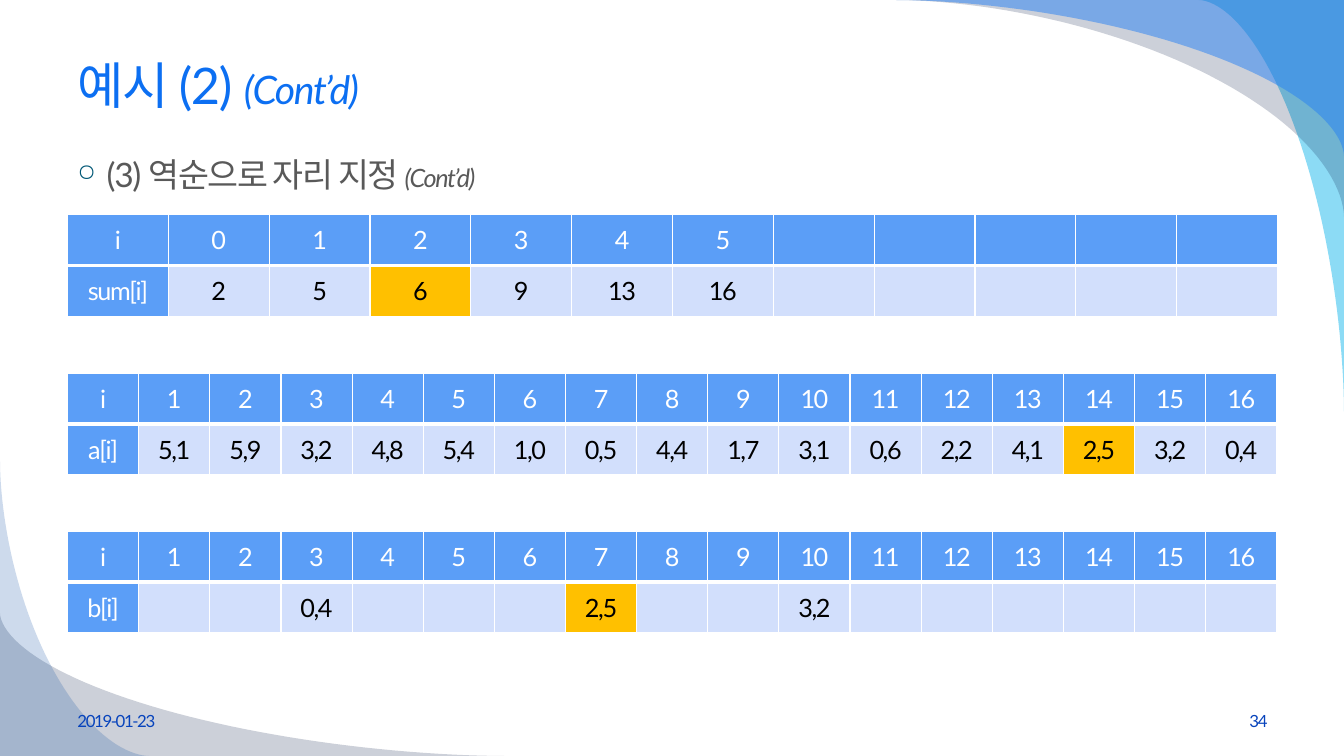
from dataclasses import dataclass
from math import cos, pi, sin

from lxml import etree
from pptx import Presentation
from pptx import util as u
from pptx.dml.color import RGBColor
from pptx.enum import text as t
from pptx.oxml.ns import qn


@dataclass(frozen=True)
class Theme:
    font: str = "Lato"
    title: str = "0C6FF2"
    body: str = "595959"
    bullet: str = "005876"
    footer: str = "0743BC"
    header: str = "5B9EF7"
    cell: str = "D2DFFC"
    marked: str = "FFC000"
    white: str = "FFFFFF"
    black: str = "000000"
    navy: str = "021741"
    cyan: str = "00B1E9"
    blue: str = "247FF4"
    deep: str = "084AA1"
    title_size: int = 36
    title_note_size: int = 28
    body_size: int = 24
    note_size: int = 18
    table_size: int = 18
    footer_size: int = 12


THEME = Theme()
PAGE_WIDTH, PAGE_HEIGHT = 13.33, 7.5
MARGIN, CONTENT_WIDTH = 0.67, 12
SWEEP_POWER = 1.13  # bend of the corner curves; 1 is an ellipse
SWEEP_STEPS = 48


def write(para, text, size, colour, italic=False):
    span = para.add_run()
    span.text = text
    span.font.name = THEME.font
    span.font.size = u.Pt(size)
    span.font.italic = italic
    span.font.color.rgb = RGBColor.from_string(colour)
    span._r.get_or_add_rPr().set("spc", "-100")


def add_text_box(page, left, top, width, height, anchor):
    frame = page.shapes.add_textbox(
        u.Inches(left), u.Inches(top), u.Inches(width), u.Inches(height)).text_frame
    frame.word_wrap = True
    frame.vertical_anchor = anchor
    return frame.paragraphs[0]


# Curved corner decoration
def add_sweep(page, corner, width, height, colour, opacity):
    x, y = corner
    inward_x = 1 if x == 0 else -1
    inward_y = 1 if y == 0 else -1
    curve = []
    for step in range(SWEEP_STEPS + 1):
        angle = pi / 2 * step / SWEEP_STEPS
        across = 1 - sin(angle) ** SWEEP_POWER
        down = 1 - max(cos(angle), 0) ** SWEEP_POWER
        curve.append((u.Inches(x + inward_x * width * across),
                      u.Inches(y + inward_y * height * down)))
    builder = page.shapes.build_freeform(u.Inches(x), u.Inches(y))
    builder.add_line_segments(curve, close=True)
    sweep = builder.convert_to_shape()
    sweep.shadow.inherit = False
    sweep.line.fill.background()
    sweep.fill.solid()
    sweep.fill.fore_color.rgb = RGBColor.from_string(colour)
    tint = sweep._element.spPr.find(qn("a:solidFill")).find(qn("a:srgbClr"))
    etree.SubElement(tint, qn("a:alpha")).set("val", str(opacity * 1000))


def add_background(page):
    top_right, bottom_left = (PAGE_WIDTH, 0), (0, PAGE_HEIGHT)
    for corner, width, height, colour, opacity in (
            (top_right, 1.44, 4.08, THEME.cyan, 45),
            (top_right, 4.44, 2.15, THEME.navy, 20),
            (top_right, 4.44, 1.55, THEME.blue, 49),
            (bottom_left, 5, 1.42, THEME.navy, 20),
            (bottom_left, 1.48, 2.92, THEME.deep, 20)):
        add_sweep(page, corner, width, height, colour, opacity)


def add_title(page, left, top, width, height):
    title = page.shapes.title
    title.left, title.top = u.Inches(left), u.Inches(top)
    title.width, title.height = u.Inches(width), u.Inches(height)
    title.text_frame.vertical_anchor = t.MSO_ANCHOR.MIDDLE
    para = title.text_frame.paragraphs[0]
    para.alignment = t.PP_ALIGN.LEFT
    write(para, "예시 (2) ", THEME.title_size, THEME.title)
    write(para, "(Cont’d)", THEME.title_note_size, THEME.title, italic=True)


def add_bullet(page, left, top, width, height):
    para = add_text_box(page, left, top, width, height, t.MSO_ANCHOR.TOP)
    layout = para._p.get_or_add_pPr()
    layout.set("marL", str(u.Inches(0.29)))
    layout.set("indent", str(-u.Inches(0.29)))
    tint = etree.SubElement(layout, qn("a:buClr"))
    etree.SubElement(tint, qn("a:srgbClr")).set("val", THEME.bullet)
    etree.SubElement(layout, qn("a:buSzPct")).set("val", "70000")
    etree.SubElement(layout, qn("a:buChar")).set("char", "○")
    write(para, "(3) 역순으로 자리 지정 ", THEME.body_size, THEME.body)
    write(para, "(Cont’d)", THEME.note_size, THEME.body, italic=True)


def add_footer(page, left, top, width, height):
    part = 3.11
    for text, x, align in (("2019-01-23", left, t.PP_ALIGN.LEFT),
                           ("34", left + width - part, t.PP_ALIGN.RIGHT)):
        para = add_text_box(page, x, top, part, height, t.MSO_ANCHOR.MIDDLE)
        para.alignment = align
        write(para, text, THEME.footer_size, THEME.footer)


# Array tables: an index row above a value row
def add_border(cell, side, points):
    line = etree.SubElement(cell._tc.get_or_add_tcPr(), qn(f"a:ln{side}"))
    line.set("w", str(u.Pt(points)))
    fill = etree.SubElement(line, qn("a:solidFill"))
    etree.SubElement(fill, qn("a:srgbClr")).set("val", THEME.white)


def format_cell(cell, text, borders, fill, colour):
    for side, points in borders.items():
        add_border(cell, side, points)
    cell.fill.solid()
    cell.fill.fore_color.rgb = RGBColor.from_string(fill)
    cell.vertical_anchor = t.MSO_ANCHOR.MIDDLE
    para = cell.text_frame.paragraphs[0]
    para.alignment = t.PP_ALIGN.CENTER
    if text:
        write(para, text, THEME.table_size, colour)


def add_array(page, left, top, width, height, indices, values, marked):
    table = page.shapes.add_table(2, len(indices), u.Inches(left), u.Inches(top),
                                  u.Inches(width), u.Inches(height)).table
    table.first_row = table.horz_banding = False
    for column in table.columns:
        column.width = u.Inches(width / len(indices))
    for number, (index, value) in enumerate(zip(indices, values)):
        format_cell(table.cell(0, number), index, {"L": 1, "R": 1, "T": 1, "B": 3},
                    THEME.header, THEME.white)
        if number == 0:
            fill, colour = THEME.header, THEME.white
        else:
            fill = THEME.marked if number == marked else THEME.cell
            colour = THEME.black
        format_cell(table.cell(1, number), value, {"L": 1, "R": 1, "B": 1}, fill, colour)


def add_arrays(page, left, top, width):
    sums = ["sum[i]", "2", "5", "6", "9", "13", "16"] + [""] * 5
    sum_indices = ["i"] + [str(n) for n in range(6)] + [""] * 5
    indices = ["i"] + [str(n) for n in range(1, 17)]
    source = ["a[i]", "5,1", "5,9", "3,2", "4,8", "5,4", "1,0", "0,5", "4,4",
              "1,7", "3,1", "0,6", "2,2", "4,1", "2,5", "3,2", "0,4"]
    placed = {3: "0,4", 7: "2,5", 10: "3,2"}
    target = ["b[i]"] + [placed.get(n, "") for n in range(1, 17)]
    arrays = ((sum_indices, sums, 3), (indices, source, 14), (indices, target, 7))
    for row, (heads, values, marked) in enumerate(arrays):
        add_array(page, left, top + 1.57 * row, width, 1.01, heads, values, marked)


def main():
    deck = Presentation()
    deck.slide_width, deck.slide_height = u.Inches(PAGE_WIDTH), u.Inches(PAGE_HEIGHT)
    page = deck.slides.add_slide(deck.slide_layouts[5])
    add_background(page)
    add_title(page, MARGIN, 0.33, CONTENT_WIDTH, 1.01)
    add_bullet(page, MARGIN, 1.48, CONTENT_WIDTH, 0.5)
    add_footer(page, MARGIN, 6.95, CONTENT_WIDTH, 0.4)
    add_arrays(page, MARGIN, 2.13, CONTENT_WIDTH)
    deck.save("out.pptx")


if __name__ == "__main__":
    main()
